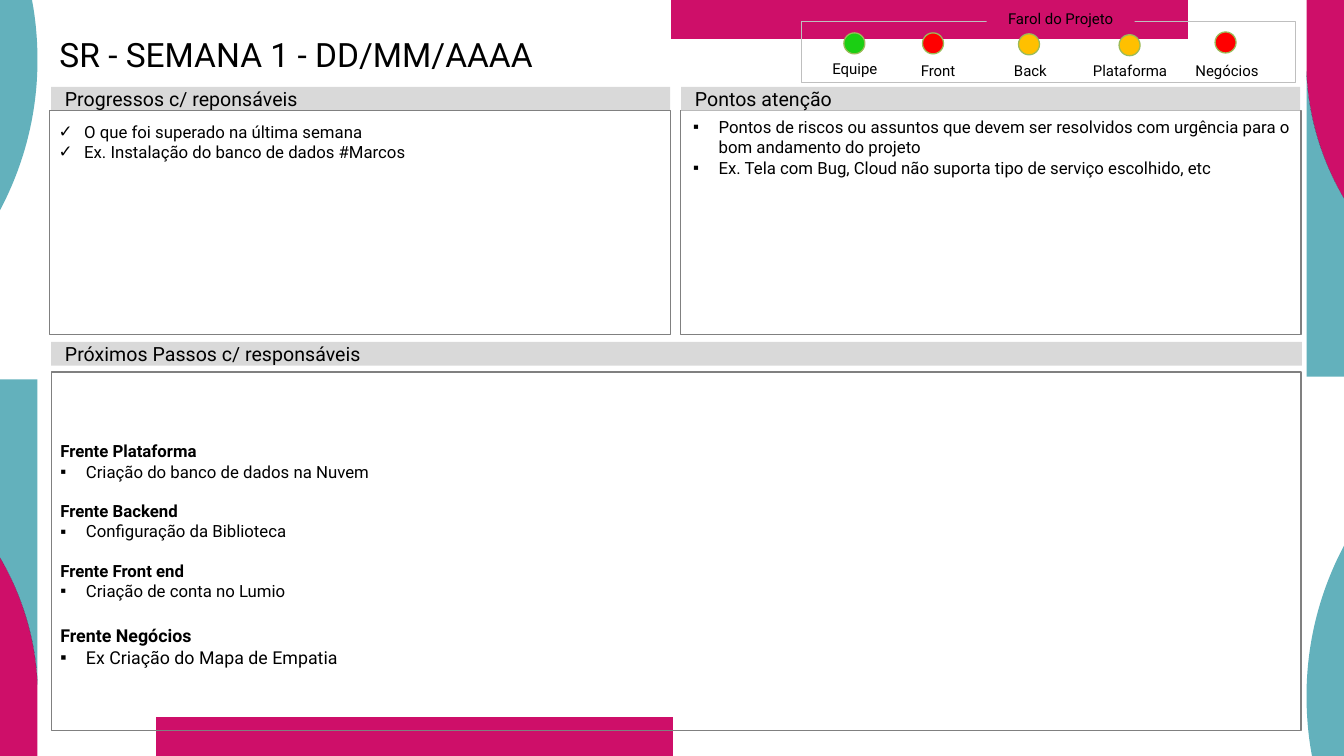
from collections import namedtuple
from dataclasses import dataclass

from lxml import etree
from pptx import Presentation
from pptx import util as u
from pptx.dml.color import RGBColor
from pptx.enum import shapes, text
from pptx.oxml import ns

Box = namedtuple("Box", "x y w h")


@dataclass(frozen=True)
class Theme:
    font: str = "Roboto"
    ink: str = "000000"
    teal: str = "63B1BC"
    pink: str = "CE0F69"
    navy: str = "1F2A44"
    band: str = "D9D9D9"
    frame: str = "808080"
    legend: str = "BFBFBF"
    ring: str = "9BBB59"
    green: str = "1BCF13"
    red: str = "FF0000"
    amber: str = "FFC000"
    title: float = 26.46
    heading: float = 15.43
    body: float = 13.2
    closing: float = 14
    label: float = 11.8


T = Theme()
A = text.PP_ALIGN
V = text.MSO_ANCHOR
M = shapes.MSO_SHAPE


def paint(sp, fill=None, line=None, width=1):
    if fill:
        sp.fill.solid()
        sp.fill.fore_color.rgb = RGBColor.from_string(fill)
    else:
        sp.fill.background()
    if line:
        sp.line.color.rgb = RGBColor.from_string(line)
        sp.line.width = u.Pt(width)
    else:
        sp.line.fill.background()


def add_preset(s, kind, box, fill=None, line=None, width=1):
    sp = s.shapes.add_shape(kind, *[u.Inches(v) for v in box])
    sp.shadow.inherit = False
    paint(sp, fill, line, width)
    return sp


def set_frame(sp, insets, anchor, wrap=True):
    tf = sp.text_frame
    tf.auto_size = text.MSO_AUTO_SIZE.NONE
    tf.word_wrap = wrap
    tf.vertical_anchor = anchor
    tf.margin_left, tf.margin_top, tf.margin_right, tf.margin_bottom = [
        u.Inches(v) for v in insets]
    return tf


def write(p, words, size, bold=False, align=A.LEFT, before=0):
    p.alignment = align
    p.space_before, p.space_after = u.Pt(before), u.Pt(0)
    r = p.add_run()
    r.text = words
    r.font.name, r.font.size, r.font.bold = T.font, u.Pt(size), bold
    r.font.color.rgb = RGBColor.from_string(T.ink)


def set_bullet(p, char):
    pPr = p._p.get_or_add_pPr()
    indent = u.Inches(0.28) if char else 0
    pPr.set("marL", str(indent))
    pPr.set("indent", str(-indent))
    bu = etree.SubElement(pPr, ns.qn("a:buChar" if char else "a:buNone"))
    if char:
        bu.set("char", char)


def take_placeholder(s, idx, box):
    ph = next(sp for sp in s.placeholders if sp.placeholder_format.idx == idx)
    s.shapes.element.append(ph.element)
    ph.left, ph.top, ph.width, ph.height = [u.Inches(v) for v in box]
    return ph


def add_outline(s, start, segments, color):
    points = [pt for segment in segments for pt in segment]
    builder = s.shapes.build_freeform(*start, scale=1.0)
    builder.add_line_segments(points, close=True)
    sp = builder.convert_to_shape()
    sp.shadow.inherit = False
    paint(sp, color)
    lines = iter(list(sp.element.iter(ns.qn("a:lnTo"))))
    for segment in segments:
        group = [next(lines) for _ in segment]
        if len(group) == 3:
            curve = etree.Element(ns.qn("a:cubicBezTo"))
            group[0].addprevious(curve)
            for line in group:
                curve.append(line[0])
                line.getparent().remove(line)


def add_decor(s, box):
    x0, x1 = box.w - 0.41, box.w
    top, tip = (x0, 0.78), (x1, 2.17)
    bow = [(14.31, 1.28), (14.46, 1.76), tip]
    bow_back = [(14.46, 1.76), (14.31, 1.28), top]
    outlines = [
        ((7.34, 0), [[(12.99, 0)], [(12.99, 0.43)], [(7.34, 0.43)]], T.pink),
        (top, [bow, [(x1, 4.12)], [(x0, 4.12)]], T.teal),
        (top, [bow, [(x1, 0)], [(x0, 0)]], T.pink),
        (tip, [bow_back, [(x0, 0.79)],
               [(14.31, 1.29), (14.46, 1.76), tip]], T.navy),
        ((x1, 5.97), [[(14.44, 6.46), (x0, 7.02), (x0, 7.61)],
                      [(x0, 7.84), (14.31, 8.06), (14.35, box.h)],
                      [(x1, box.h)]], T.teal),
    ]
    for half_turn in (False, True):
        def emu(pt):
            x, y = (box.w - pt[0], box.h - pt[1]) if half_turn else pt
            return u.Inches(box.x + x), u.Inches(box.y + y)

        for start, segments, color in outlines:
            turned = [[emu(pt) for pt in segment] for segment in segments]
            add_outline(s, emu(start), turned, color)


def add_title(s, box, words):
    ph = take_placeholder(s, 0, box)
    tf = set_frame(ph, (0.12, 0, 0.12, 0), V.TOP)
    p = tf.paragraphs[0]
    p.line_spacing = 0.9
    write(p, words, T.title)


def add_heading(s, box, words):
    sp = add_preset(s, M.RECTANGLE, box, T.band)
    tf = set_frame(sp, (0.15, 0.07, 0.15, 0.07), V.MIDDLE)
    write(tf.paragraphs[0], words, T.heading)


def add_line(tf, first, words, size, char=None, before=0):
    p = tf.paragraphs[0] if first else tf.add_paragraph()
    write(p, words, size, bold=not char, before=before)
    set_bullet(p, char)


def add_bullets(tf, items, char):
    for i, item in enumerate(items):
        add_line(tf, i == 0, item, T.body, char)


def add_progress(s, box, idx, heading, items):
    add_heading(s, Box(box.x + 0.02, box.y, box.w - 0.02, 0.26), heading)
    body = Box(box.x, box.y + 0.26, box.w, box.h - 0.26)
    ph = take_placeholder(s, idx, body)
    paint(ph, line=T.frame)
    add_bullets(set_frame(ph, (0.1, 0.12, 0.1, 0.05), V.TOP), items, "✓")


def add_attention(s, box, idx, heading, items):
    add_preset(s, M.RECTANGLE, Box(box.x, box.y + 0.26, box.w, box.h - 0.26),
               line=T.frame)
    add_heading(s, Box(box.x + 0.01, box.y, box.w - 0.02, 0.26), heading)
    ph = take_placeholder(s, idx, Box(box.x + 0.04, box.y + 0.28, 6.74, 0.77))
    add_bullets(set_frame(ph, (0.1, 0.05, 0.1, 0.05), V.TOP), items, "▪")


def add_next_steps(s, box, idx, heading, fronts):
    add_heading(s, Box(box.x, box.y, box.w + 0.01, 0.26), heading)
    ph = take_placeholder(s, idx, Box(box.x, box.y + 0.33, box.w, box.h - 0.34))
    paint(ph, line=T.frame)
    tf = set_frame(ph, (0.1, 0.12, 0.1, 0.05), V.MIDDLE)
    tf._txBody.bodyPr.set("numCol", "3")
    for i, (front, step, size, before) in enumerate(fronts):
        add_line(tf, i == 0, front, size, before=before)
        add_line(tf, False, step, size, "▪")


def add_label(sp, words):
    tf = set_frame(sp, (0.06, 0.06, 0.06, 0), V.BOTTOM, wrap=False)
    write(tf.paragraphs[0], words, T.label, align=A.CENTER)


def add_status_legend(s, box, caption, lights):
    add_preset(s, M.RECTANGLE, box, line=T.legend, width=0.5)
    tag = Box(box.x + 2.02, box.y - 0.16, 1.62, 0.23)
    add_label(add_preset(s, M.RECTANGLE, tag, T.pink), caption)
    for name, color, light_x, light_y, label_x, label_y in lights:
        dot = Box(box.x + light_x, box.y + light_y, 0.23, 0.23)
        add_preset(s, M.OVAL, dot, color, T.ring)
        label = Box(box.x + label_x, box.y + label_y, 0.98, 0.2)
        add_label(s.shapes.add_textbox(*[u.Inches(v) for v in label]), name)


def main():
    prs = Presentation()
    prs.slide_width, prs.slide_height = u.Inches(14.7), u.Inches(8.27)
    s = prs.slides.add_slide(prs.slide_layouts.get_by_name("Comparison"))
    add_decor(s, Box(0, 0, 14.7, 8.27))
    add_title(s, Box(0.53, 0.42, 13.23, 0.88), "SR - SEMANA 1 - DD/MM/AAAA")
    add_progress(
        s, Box(0.54, 0.95, 6.79, 2.71), 2, "Progressos c/ reponsáveis",
        ["O que foi superado na última semana",
         "Ex. Instalação do banco de dados #Marcos"])
    add_attention(
        s, Box(7.44, 0.95, 6.79, 2.71), 4, "Pontos atenção",
        ["Pontos de riscos ou assuntos que devem ser resolvidos com urgência "
         "para o bom andamento do projeto",
         "Ex. Tela com Bug, Cloud não suporta tipo de serviço escolhido, etc"])
    add_next_steps(
        s, Box(0.56, 3.74, 13.67, 4.26), 1, "Próximos Passos c/ responsáveis",
        [("Frente Plataforma", "Criação do banco de dados na Nuvem", T.body, 0),
         ("Frente Backend", "Configuração da Biblioteca", T.body, 15.5),
         ("Frente Front end", "Criação de conta no Lumio", T.body, 15.5),
         ("Frente Negócios", "Ex Criação do Mapa de Empatia", T.closing, 18.75)])
    add_status_legend(
        s, Box(8.77, 0.23, 5.4, 0.67), "Farol do Projeto",
        [("Equipe", T.green, 0.46, 0.13, 0.09, 0.42),
         ("Front", T.red, 1.32, 0.13, 1, 0.44),
         ("Back", T.amber, 2.37, 0.14, 2.01, 0.44),
         ("Plataforma", T.amber, 3.47, 0.15, 3.1, 0.44),
         ("Negócios", T.red, 4.52, 0.12, 4.16, 0.44)])
    for ph in list(s.placeholders):
        if not ph.text_frame.text:
            s.shapes.element.remove(ph.element)
    prs.save("out.pptx")


if __name__ == "__main__":
    main()
